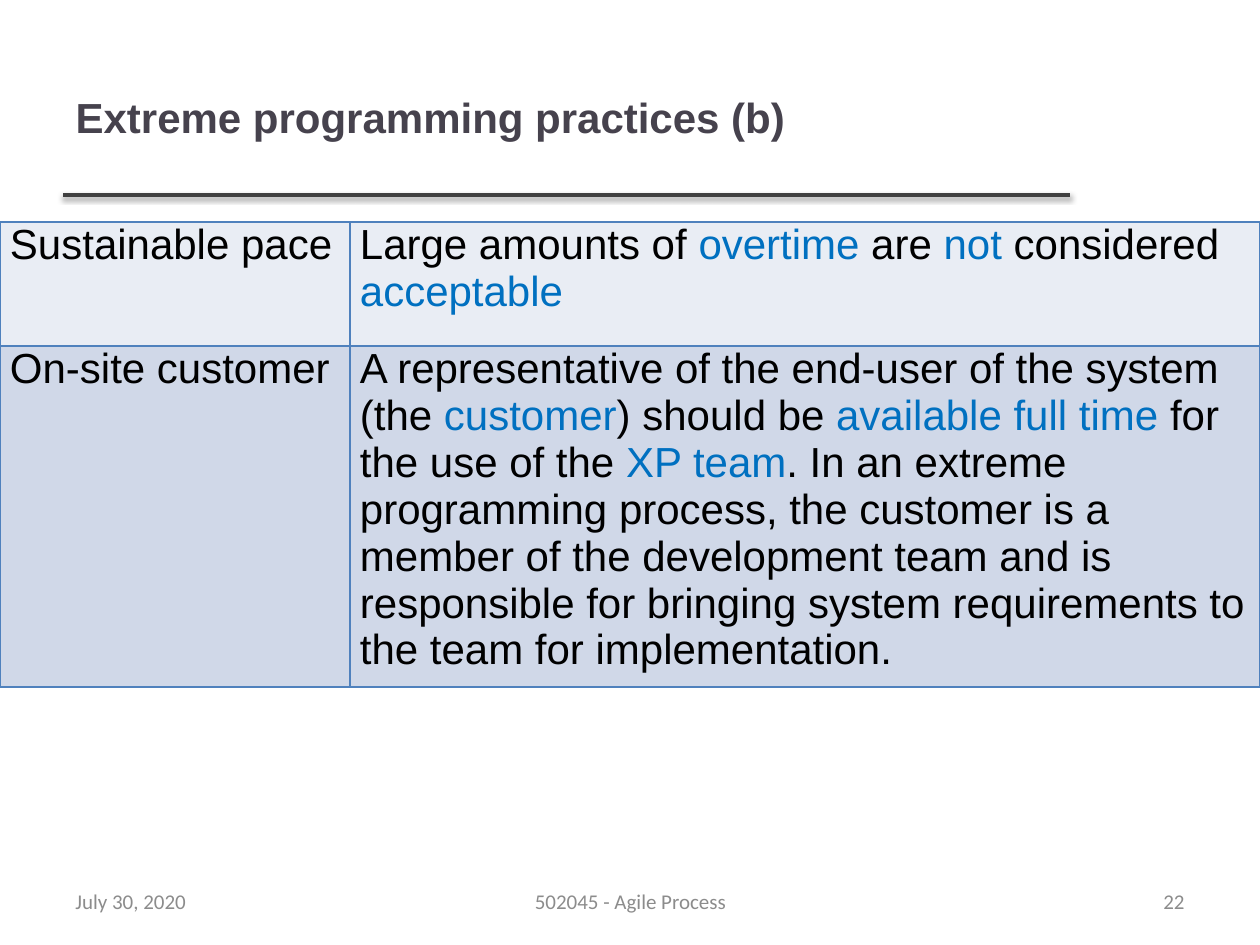
from lxml import etree
from pptx import Presentation
from pptx.dml.color import RGBColor
from pptx.enum.shapes import MSO_CONNECTOR
from pptx.enum.text import MSO_ANCHOR, PP_ALIGN
from pptx.oxml import parse_xml
from pptx.oxml.ns import nsdecls, qn
from pptx.util import Emu, Pt

STRAIGHT = MSO_CONNECTOR.STRAIGHT
MIDDLE = MSO_ANCHOR.MIDDLE
LEFT, CENTER, RIGHT = PP_ALIGN.LEFT, PP_ALIGN.CENTER, PP_ALIGN.RIGHT

TITLE_ONLY = 5
EMU_PER_PX = 914400 / 126
COLORS = {
    "title": "46424D",
    "rule": "404040",
    "shadow": "000000",
    "text": "000000",
    "key": "0070C0",
    "footer": "8C8C8C",
    "border": "4F81BD",
    "light_row": "E9EDF4",
    "dark_row": "D0D8E8",
}

# Each practice: row height, row colour, and the runs of its two cells
PRACTICES = [
    (124, "light_row", [
        [("Sustainable pace", "text")],
        [("Large amounts of ", "text"), ("overtime", "key"), (" are ", "text"),
         ("not", "key"), (" considered ", "text"), ("acceptable", "key")],
    ]),
    (341, "dark_row", [
        [("On-site customer", "text")],
        [("A representative of the end-user of the system (the ", "text"),
         ("customer", "key"), (") should be ", "text"),
         ("available full time ", "key"), ("for the use of the ", "text"),
         ("XP team", "key"),
         (". In an extreme programming process, the customer is a member of "
          "the development team and is responsible for bringing system "
          "requirements to the team for implementation.", "text")],
    ]),
]
FOOTERS = [
    (63, 294, "July 30, 2020", LEFT),
    (431, 399, "502045 - Agile Process", CENTER),
    (903, 294, "22", RIGHT),
]


def px(length):
    return Emu(round(length * EMU_PER_PX))


def rgb(name):
    return RGBColor.from_string(COLORS[name])


class SlideBuilder:
    """Holds the text style and the slide being filled."""
    body_font, footer_font = "Arial", "Calibri"
    body_size, footer_size = 24, 12

    def __init__(self, slide):
        self.slide = slide

    def add_runs(self, frame, runs, font, size, bold=False, align=LEFT):
        paragraph = frame.paragraphs[0]
        paragraph.alignment = align
        for text, color in runs:
            run = paragraph.add_run()
            run.text = text
            run.font.name = font
            run.font.size = Pt(size)
            run.font.bold = bold
            run.font.color.rgb = rgb(color)

    def title(self, left, top, width, height, text):
        heading = self.slide.shapes.title
        heading.left, heading.top = px(left), px(top)
        heading.width, heading.height = px(width), px(height)
        heading.text_frame.vertical_anchor = MIDDLE
        self.add_runs(heading.text_frame, [(text, "title")],
                      self.body_font, self.body_size, bold=True)

    def rule(self, left, right, y):
        """Draws a horizontal line with a soft shadow below it."""
        line = self.slide.shapes.add_connector(
            STRAIGHT, px(left), px(y), px(right), px(y))
        line.line.color.rgb = rgb("rule")
        line.line.width = Pt(2)
        effects = etree.SubElement(line._element.spPr, qn("a:effectLst"))
        shadow = etree.SubElement(
            effects, qn("a:outerShdw"), blurRad=str(int(Pt(3.1))),
            dist=str(int(Pt(1.6))), dir="5400000", rotWithShape="0")
        color = etree.SubElement(
            shadow, qn("a:srgbClr"), val=COLORS["shadow"])
        etree.SubElement(color, qn("a:alpha"), val="38000")

    def borders(self, cell):
        properties = cell._tc.get_or_add_tcPr()
        for side in ("lnL", "lnR", "lnT", "lnB"):
            properties.append(parse_xml(
                f'<a:{side} {nsdecls("a")} w="{int(Pt(1))}"><a:solidFill>'
                f'<a:srgbClr val="{COLORS["border"]}"/>'
                f'</a:solidFill></a:{side}>'))

    def table(self, left, top, column_widths, rows):
        height = sum(row[0] for row in rows)
        table = self.slide.shapes.add_table(
            len(rows), len(column_widths), px(left), px(top),
            px(sum(column_widths)), px(height)).table
        table.first_row = table.horz_banding = False
        for column, width in zip(table.columns, column_widths):
            column.width = px(width)
        for row, (row_height, fill, contents) in zip(table.rows, rows):
            row.height = px(row_height)
            for cell, runs in zip(row.cells, contents):
                cell.margin_left = cell.margin_right = px(10)
                cell.margin_top, cell.margin_bottom = px(0), px(13)
                self.borders(cell)
                cell.fill.solid()
                cell.fill.fore_color.rgb = rgb(fill)
                self.add_runs(cell.text_frame, runs,
                              self.body_font, self.body_size)

    def footer(self, left, width, text, align):
        frame = self.slide.shapes.add_textbox(
            px(left), px(876), px(width), px(50)).text_frame
        frame.word_wrap = True
        frame.vertical_anchor = MIDDLE
        self.add_runs(frame, [(text, "footer")],
                      self.footer_font, self.footer_size, align=align)


def main():
    deck = Presentation()
    deck.slide_width, deck.slide_height = px(1260), px(945)
    page = SlideBuilder(
        deck.slides.add_slide(deck.slide_layouts[TITLE_ONLY]))
    page.rule(63, 1070, 195)
    page.title(63, 38, 1006, 157, "Extreme programming practices (b)")
    page.table(0, 222, [350, 910], PRACTICES)
    for footer in FOOTERS:
        page.footer(*footer)
    deck.save("out.pptx")


if __name__ == "__main__":
    main()
